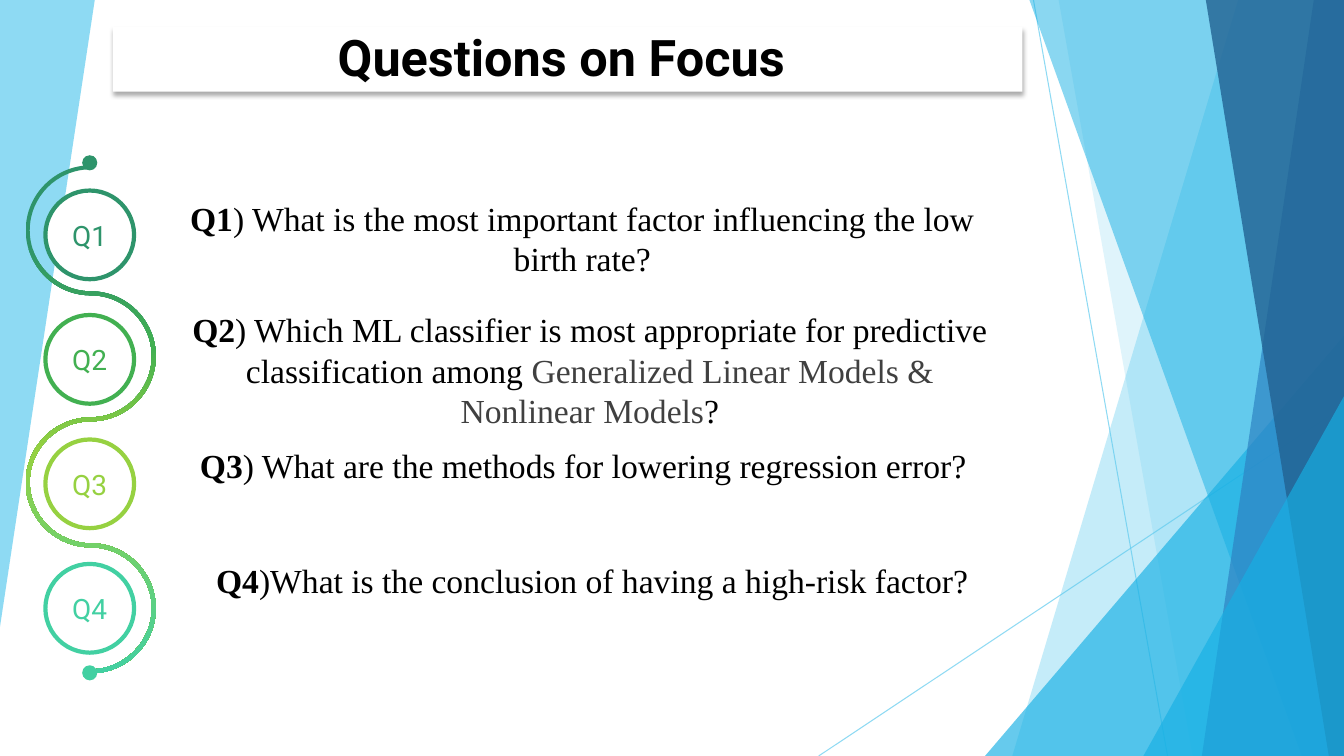
from lxml import etree
from pptx import Presentation
from pptx.dml.color import RGBColor
from pptx.enum.shapes import MSO_CONNECTOR as CONN, MSO_SHAPE as SHAPE
from pptx.enum.text import MSO_ANCHOR as ANCHOR, MSO_AUTO_SIZE as AUTO, PP_ALIGN as ALIGN
from pptx.oxml import parse_xml
from pptx.oxml.ns import nsdecls, qn
from pptx.util import Inches, Pt

BLACK = RGBColor(0x00, 0x00, 0x00)
WHITE = RGBColor(0xFF, 0xFF, 0xFF)
GREY = RGBColor(0x40, 0x40, 0x40)
SKY = RGBColor(0x5F, 0xCB, 0xEF)
CYAN = RGBColor(0x17, 0xB0, 0xE4)
BLUE = RGBColor(0x2E, 0x83, 0xC3)
NAVY = RGBColor(0x22, 0x62, 0x92)
STEP_COLOURS = [
    RGBColor(0x2E, 0x94, 0x6B),
    RGBColor(0x42, 0xB0, 0x51),
    RGBColor(0x96, 0xD1, 0x41),
    RGBColor(0x42, 0xD0, 0xA2),
]
GRADIENT_STOPS = [15, 36, 56, 100]
SLIDE_W, SLIDE_H = 13.33, 7.5
SANS, SERIF = "Roboto", "Times New Roman"
ROUND = 0.55

QUESTIONS = [
    ((1.73, 1.98, 8.09, 0.77), ANCHOR.MIDDLE, 0, [
        ("Q1", True, BLACK),
        (") What is the most important factor influencing the low birth rate?", False, BLACK)]),
    ((1.74, 3.02, 8.22, 1.13), ANCHOR.TOP, 10, [
        ("Q2", True, BLACK),
        (") Which ML classifier is most appropriate for predictive classification among ",
         False, BLACK),
        ("Generalized Linear Models & Nonlinear Models", False, GREY),
        ("?", False, BLACK)]),
    ((1.12, 4.36, 9.33, 0.74), ANCHOR.TOP, 10, [
        ("Q3", True, BLACK),
        (") What are the methods for lowering regression error?", False, BLACK)]),
    ((1.52, 5.51, 8.79, 0.97), ANCHOR.TOP, 10, [
        ("Q4", True, BLACK),
        (")What is the conclusion of having a high-risk factor? ", False, BLACK)]),
]


def inches(*lengths):
    return [Inches(v) for v in lengths]


def set_alpha(fill_parent, percent):
    colour = fill_parent.find(".//" + qn("a:srgbClr"))
    etree.SubElement(colour, qn("a:alpha")).set("val", str(percent * 1000))


def paint(sp, colour, alpha=100):
    sp.shadow.inherit = False
    sp.line.fill.background()
    sp.fill.solid()
    sp.fill.fore_color.rgb = colour
    if alpha < 100:
        set_alpha(sp._element.spPr.find(qn("a:solidFill")), alpha)


def add_polygon(slide, points):
    corners = [inches(x, y) for x, y in points]
    builder = slide.shapes.build_freeform(*corners[0], scale=1.0)
    builder.add_line_segments(corners[1:], close=True)
    return builder.convert_to_shape()


def add_run(p, text, font, size, colour, bold=False):
    r = p.add_run()
    r.text = text
    r.font.name = font
    r.font.size = Pt(size)
    r.font.bold = bold
    r.font.color.rgb = colour


def add_ray(slide, start, end):
    line = slide.shapes.add_connector(CONN.STRAIGHT, *inches(*start, *end))
    line.line.color.rgb = SKY
    line.line.width = Pt(0.75)
    sp_pr = line._element.spPr
    set_alpha(sp_pr.find(qn("a:ln")), 70)
    etree.SubElement(sp_pr, qn("a:effectLst"))


def add_facet(slide, box, top_left, bottom_left, colour, alpha):
    x, y, w, h = box
    paint(add_polygon(slide, [(top_left, y), (x + w, y), (x + w, y + h),
                              (bottom_left, y + h)]), colour, alpha)


def add_corner(slide, box, w, h):
    right, bottom = box[0] + box[2], box[1] + box[3]
    sp = slide.shapes.add_shape(SHAPE.ISOSCELES_TRIANGLE,
                                *inches(right - w, bottom - h, w, h))
    sp.adjustments[0] = 1
    paint(sp, CYAN, 66)


def add_backdrop(slide, box):
    x, y, w, h = box
    right, bottom = x + w, y + h
    paint(add_polygon(slide, [(x, y), (x + 0.94, y), (x, y + 6.22)]), SKY, 70)
    add_ray(slide, (10.25, y), (11.58, bottom))
    add_ray(slide, (right, 4.03), (8.12, bottom))
    add_facet(slide, box, 12.28, 10.04, SKY, 36)
    add_facet(slide, box, 10.5, 11.83, SKY, 20)
    add_corner(slide, box, 3.56, 4.17)
    add_facet(slide, box, 10.21, 12.91, CYAN, 50)
    add_facet(slide, box, 13.03, 11.92, BLUE, 70)
    add_facet(slide, box, 11.96, 13.18, NAVY, 80)
    add_corner(slide, box, 1.99, 3.57)


def add_title(slide, box):
    sp = slide.shapes.title
    sp.left, sp.top, sp.width, sp.height = inches(*box)
    sp.fill.solid()
    sp.fill.fore_color.rgb = WHITE
    sp._element.spPr.append(parse_xml(
        f'<a:effectLst {nsdecls("a")}><a:outerShdw blurRad="{Pt(3.5)}" dist="{Pt(2.2)}" '
        'dir="5400000" algn="t" rotWithShape="0"><a:srgbClr val="000000">'
        '<a:alpha val="32000"/></a:srgbClr></a:outerShdw></a:effectLst>'))
    tf = sp.text_frame
    tf.auto_size = AUTO.NONE
    tf.vertical_anchor = ANCHOR.BOTTOM
    p = tf.paragraphs[0]
    p.alignment = ALIGN.CENTER
    add_run(p, "Questions on Focus ", SANS, 36, BLACK, True)


def wave_edge(cx, top, pitch, offset):
    points = [(cx, top - offset)]
    for i in range(len(STEP_COLOURS)):
        side = -1 if i % 2 == 0 else 1
        r = pitch / 2 - side * offset
        cy = top + pitch * (i + 0.5)
        points += [(cx + side * r * across, cy + r * down) for across, down in (
            (ROUND, -1), (1, -ROUND), (1, 0), (1, ROUND), (ROUND, 1), (0, 1))]
    return points


def round_off(lines):
    for first, second, third in zip(*[iter(lines)] * 3):
        curve = etree.Element(qn("a:cubicBezTo"))
        first.addprevious(curve)
        for line in (first, second, third):
            curve.append(line[0])
            line.getparent().remove(line)


def add_wave(slide, cx, top, pitch):
    outer, inner = [wave_edge(cx, top, pitch, d) for d in (0.02, -0.02)]
    sp = add_polygon(slide, outer + inner[::-1])
    lines = list(sp._element.spPr.iter(qn("a:lnTo")))
    edge = len(outer) - 1
    round_off(lines[:edge])
    round_off(lines[edge + 1:])
    sp.shadow.inherit = False
    sp.line.fill.background()
    sp.fill.gradient()
    sp.fill.gradient_angle = 270
    stops = sp._element.spPr.find(".//" + qn("a:gsLst"))
    for stop in list(stops):
        stops.remove(stop)
    for position, colour in zip(GRADIENT_STOPS, STEP_COLOURS):
        stop = etree.SubElement(stops, qn("a:gs"), pos=str(position * 1000))
        etree.SubElement(stop, qn("a:srgbClr"), val=str(colour))


def add_circle(slide, cx, cy, size):
    return slide.shapes.add_shape(
        SHAPE.OVAL, *inches(cx - size / 2, cy - size / 2, size, size))


def add_steps(slide, box):
    x, y, w, h = box
    wave_cx = x + w / 2
    cx = wave_cx - 0.01
    for i, colour in enumerate(STEP_COLOURS):
        sp = add_circle(slide, cx, y + 0.79 + 1.235 * i, 0.88)
        paint(sp, WHITE)
        sp.line.color.rgb = colour
        sp.line.width = Pt(3)
        tf = sp.text_frame
        tf.margin_left = tf.margin_right = 0
        tf.vertical_anchor = ANCHOR.MIDDLE
        p = tf.paragraphs[0]
        p.alignment = ALIGN.CENTER
        add_run(p, f"Q{i + 1}", SANS, 20, colour)
    add_wave(slide, wave_cx, y + 0.12, 1.25)
    for cy, colour in ((y + 0.075, STEP_COLOURS[0]), (y + h - 0.075, STEP_COLOURS[-1])):
        paint(add_circle(slide, cx, cy, 0.15), colour)


def add_question(slide, box, anchor, space, runs):
    tf = slide.shapes.add_textbox(*inches(*box)).text_frame
    tf.word_wrap = True
    tf.vertical_anchor = anchor
    p = tf.paragraphs[0]
    p.alignment = ALIGN.CENTER
    p.space_before = Pt(space)
    for text, bold, colour in runs:
        add_run(p, text, SERIF, 24, colour, bold)


def main():
    prs = Presentation()
    prs.slide_width, prs.slide_height = inches(SLIDE_W, SLIDE_H)
    slide = prs.slides.add_slide(prs.slide_layouts[5])
    add_backdrop(slide, (0, 0, SLIDE_W, SLIDE_H))
    add_title(slide, (1.12, 0.27, 9.02, 0.64))
    add_steps(slide, (0.26, 1.54, 1.28, 5.21))
    for question in QUESTIONS:
        add_question(slide, *question)
    prs.save("out.pptx")


if __name__ == "__main__":
    main()
